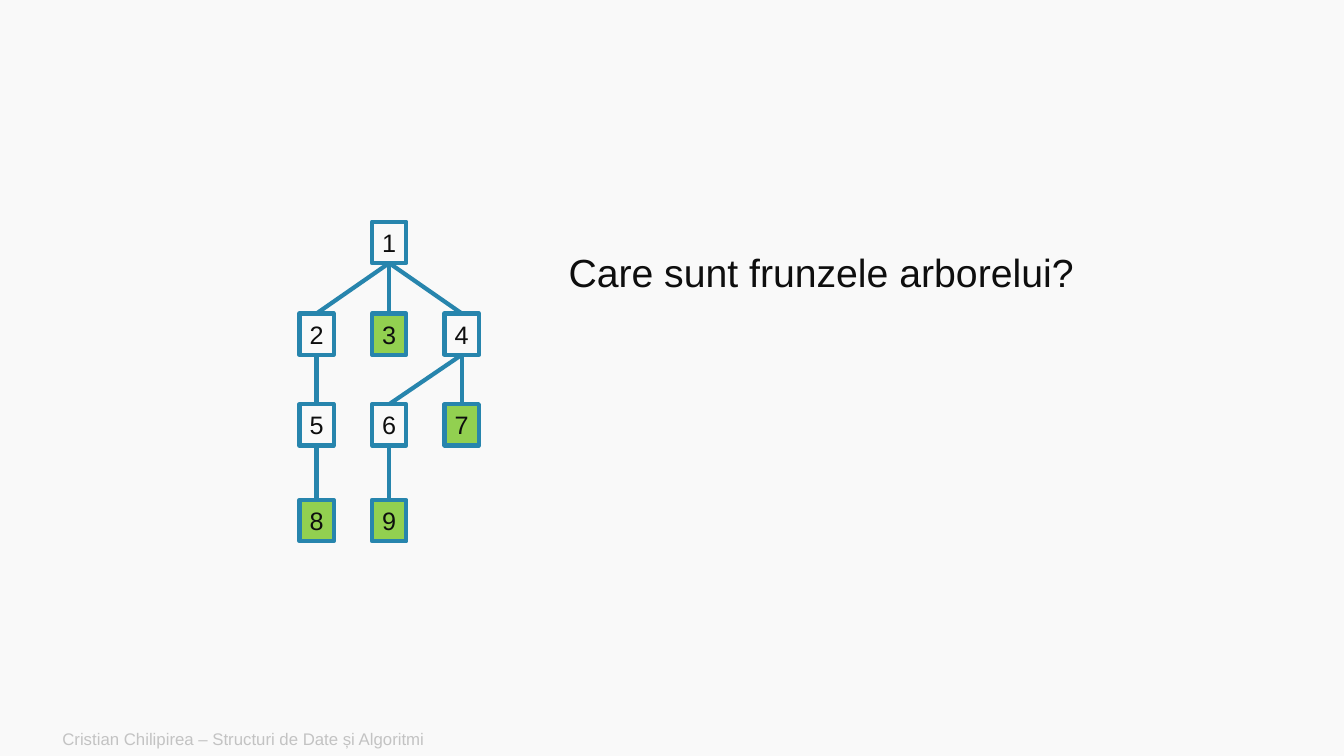
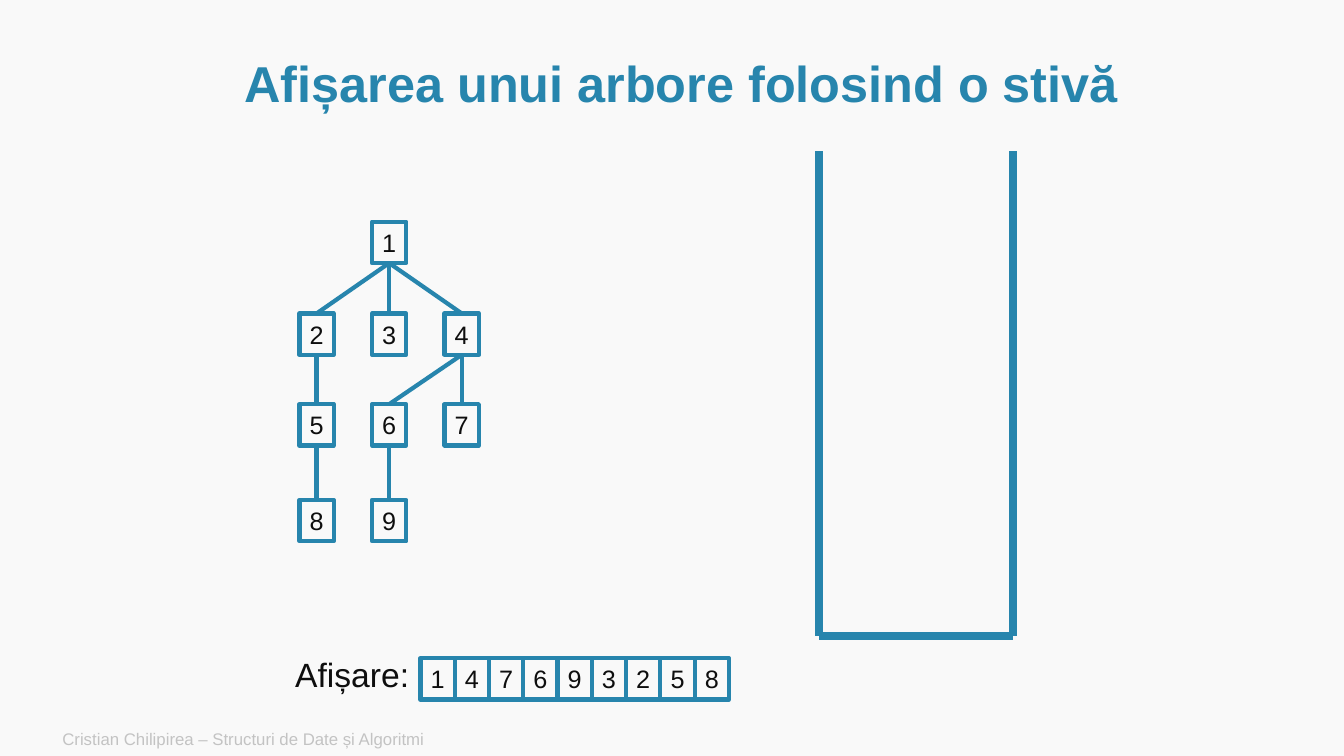
from dataclasses import dataclass

from lxml import etree
from pptx import Presentation
from pptx.dml.color import RGBColor
from pptx.enum.shapes import MSO_CONNECTOR, MSO_SHAPE
from pptx.enum.text import MSO_ANCHOR, PP_ALIGN
from pptx.oxml.ns import qn
from pptx.util import Inches, Pt

RECTANGLE = MSO_SHAPE.RECTANGLE
STRAIGHT = MSO_CONNECTOR.STRAIGHT
TOP, MIDDLE = MSO_ANCHOR.TOP, MSO_ANCHOR.MIDDLE
LEFT, CENTER = PP_ALIGN.LEFT, PP_ALIGN.CENTER
TOP_SIDE, BOTTOM_SIDE = 0, 2
BLANK_LAYOUT = 6


@dataclass(frozen=True)
class Theme:
    font: str = "Arial"
    background: RGBColor = RGBColor(0xF9, 0xF9, 0xF9)
    accent: RGBColor = RGBColor(0x27, 0x85, 0xAD)
    leaf: RGBColor = RGBColor(0x92, 0xD0, 0x50)
    text: RGBColor = RGBColor(0x0E, 0x0E, 0x0E)
    muted: RGBColor = RGBColor(0xC3, 0xC3, 0xC3)
    title_size: int = 36
    question_size: int = 28
    label_size: int = 24
    node_size: int = 18
    footer_size: int = 12
    thin_line: float = 3
    thick_line: float = 5.5


THEME = Theme()
FOOTER = "Cristian Chilipirea – Structuri de Date și Algoritmi"

# Tree: column and row of each node, then parent-child pairs
NODE_WIDTH, NODE_HEIGHT = 0.34, 0.41
TREE_LEFT, COLUMN_STEP = 2.97, 0.72
ROW_TOPS = (2.2, 3.11, 4.01, 4.96)
NODES = {
    1: (1, 0),
    2: (0, 1), 3: (1, 1), 4: (2, 1),
    5: (0, 2), 6: (1, 2), 7: (2, 2),
    8: (0, 3), 9: (1, 3),
}
EDGES = ((1, 2), (1, 3), (1, 4), (2, 5), (4, 6), (4, 7), (5, 8), (6, 9))

# Printed order of the nodes, and the empty stack
OUTPUT = (1, 4, 7, 6, 9, 3, 2, 5, 8)
OUTPUT_LEFT, OUTPUT_TOP = 4.17, 6.53
STACK_LEFT, STACK_RIGHT, STACK_TOP, STACK_BOTTOM = 8.12, 10.05, 1.5, 6.31


def write_text(shape, text, size, color, align=LEFT, bold=False):
    shape.text_frame.text = text
    paragraph = shape.text_frame.paragraphs[0]
    paragraph.alignment = align
    font = paragraph.runs[0].font
    font.name, font.size, font.bold = THEME.font, Pt(size), bold
    font.color.rgb = color
    return paragraph


def add_text(slide, box, text, size, color=THEME.text, anchor=TOP,
             wrap=False, align=LEFT, bold=False):
    shape = slide.shapes.add_textbox(*map(Inches, box))
    shape.text_frame.word_wrap = wrap
    shape.text_frame.vertical_anchor = anchor
    return write_text(shape, text, size, color, align, bold)


def add_title(slide, text):
    paragraph = add_text(slide, (1.01, 0.51, 11.5, 0.69), text, THEME.title_size,
                         THEME.accent, MIDDLE, True, CENTER, True)
    paragraph.line_spacing = 0.9


def add_node(slide, left, top, number, fill=None):
    node = slide.shapes.add_shape(
        RECTANGLE, *map(Inches, (left, top, NODE_WIDTH, NODE_HEIGHT)))
    node.shadow.inherit = False
    if fill is None:
        node.fill.background()
    else:
        node.fill.solid()
        node.fill.fore_color.rgb = fill
    node.line.color.rgb = THEME.accent
    node.line.width = Pt(THEME.thin_line)
    frame = node.text_frame
    frame.word_wrap = False
    frame.vertical_anchor = MIDDLE
    frame.margin_left = frame.margin_right = 0
    write_text(node, str(number), THEME.node_size, THEME.text, CENTER)
    return node


def add_line(slide, start=(0, 0), end=(0, 0), width=THEME.thin_line):
    line = slide.shapes.add_connector(STRAIGHT, *map(Inches, (*start, *end)))
    line.line.color.rgb = THEME.accent
    line.line.width = Pt(width)
    properties = line._element.find(qn("p:spPr"))
    etree.SubElement(properties, qn("a:effectLst"))
    return line


def add_tree(slide, marked=()):
    shapes = {}
    for number, (column, row) in NODES.items():
        fill = THEME.leaf if number in marked else None
        shapes[number] = add_node(slide, TREE_LEFT + column * COLUMN_STEP,
                                  ROW_TOPS[row], number, fill)
    for parent, child in EDGES:
        edge = add_line(slide)
        edge.begin_connect(shapes[parent], BOTTOM_SIDE)
        edge.end_connect(shapes[child], TOP_SIDE)


def add_stack(slide):
    corners = ((STACK_LEFT, STACK_TOP), (STACK_LEFT, STACK_BOTTOM),
               (STACK_RIGHT, STACK_BOTTOM), (STACK_RIGHT, STACK_TOP))
    for start, end in zip(corners, corners[1:]):
        add_line(slide, start, end, THEME.thick_line)


def add_output(slide):
    add_text(slide, (2.83, 6.44, 1.34, 0.5), "Afișare:", THEME.label_size)
    for index, number in enumerate(OUTPUT):
        add_node(slide, OUTPUT_LEFT + index * NODE_WIDTH, OUTPUT_TOP, number)


def add_slide(presentation):
    slide = presentation.slides.add_slide(presentation.slide_layouts[BLANK_LAYOUT])
    slide.background.fill.solid()
    slide.background.fill.fore_color.rgb = THEME.background
    add_text(slide, (0.52, 7.16, 8.4, 0.34), FOOTER, THEME.footer_size,
             THEME.muted, MIDDLE, True)
    return slide


def main():
    presentation = Presentation()
    presentation.slide_width, presentation.slide_height = Inches(13.33), Inches(7.5)

    # Leaves of the tree
    slide = add_slide(presentation)
    parents = {parent for parent, child in EDGES}
    add_tree(slide, marked=NODES.keys() - parents)
    add_text(slide, (5.54, 2.41, 5.28, 0.57), "Care sunt frunzele arborelui?",
             THEME.question_size)

    # Printing the tree with a stack
    slide = add_slide(presentation)
    add_title(slide, "Afișarea unui arbore folosind o stivă")
    add_tree(slide)
    add_stack(slide)
    add_output(slide)

    presentation.save("out.pptx")


if __name__ == "__main__":
    main()
